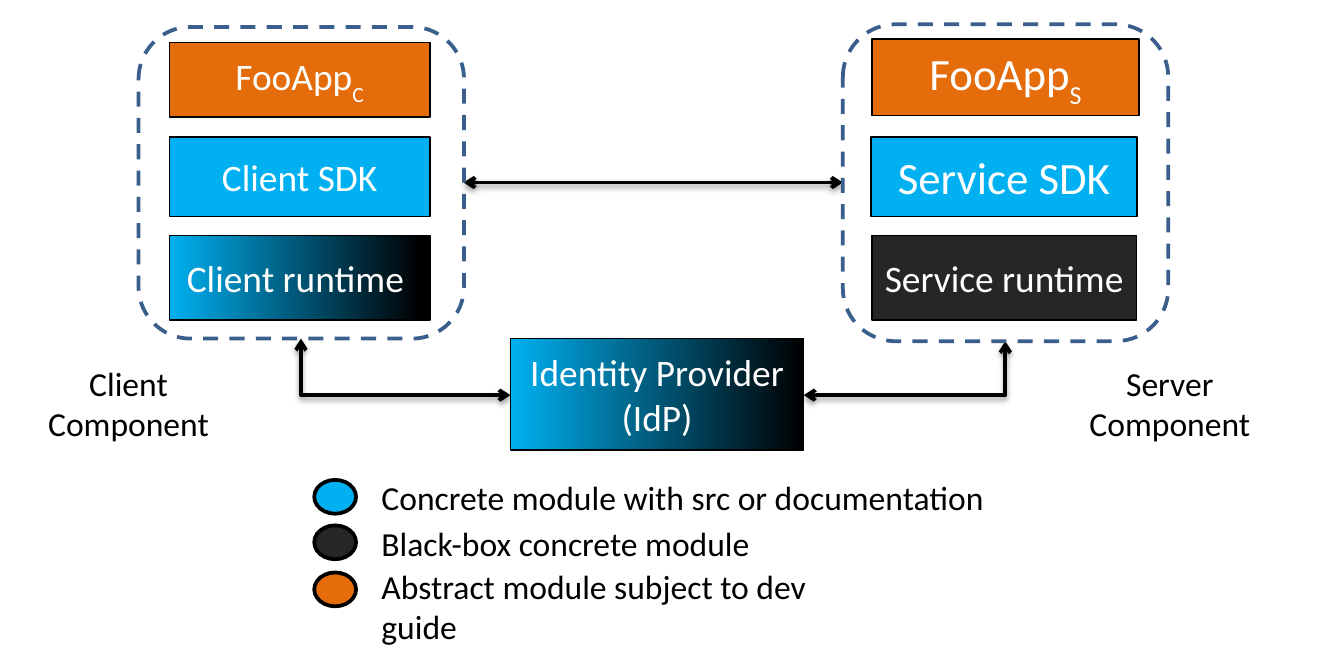
"""Build a slide that maps client, service and identity modules."""
from lxml import etree
from pptx import Presentation
from pptx.dml.color import RGBColor
from pptx.enum.dml import MSO_LINE
from pptx.enum.shapes import MSO_CONNECTOR, MSO_SHAPE
from pptx.enum.text import MSO_ANCHOR, PP_ALIGN
from pptx.oxml import parse_xml
from pptx.oxml.ns import qn
from pptx.util import Cm, Pt

RECT, ROUND, OVAL = MSO_SHAPE.RECTANGLE, MSO_SHAPE.ROUNDED_RECTANGLE, MSO_SHAPE.OVAL
LINE, ELBOW = MSO_CONNECTOR.STRAIGHT, MSO_CONNECTOR.ELBOW
LEFT, MID = PP_ALIGN.LEFT, PP_ALIGN.CENTER
CENTER, DASH = MSO_ANCHOR.MIDDLE, MSO_LINE.DASH
BLACK = RGBColor(0x00, 0x00, 0x00)
WHITE = RGBColor(0xFF, 0xFF, 0xFF)
BLUE = RGBColor(0x00, 0xB0, 0xF0)
DARK = RGBColor(0x26, 0x26, 0x26)
ORANGE = RGBColor(0xE4, 0x6C, 0x0A)
NAVY = RGBColor(0x3A, 0x5F, 0x8C)
SHADOW = (
    '<a:effectLst xmlns:a="http://schemas.openxmlformats.org/drawingml/2006/main">'
    '<a:outerShdw blurRad="40000" dist="20000" dir="5400000" rotWithShape="0">'
    '<a:srgbClr val="000000"><a:alpha val="38000"/></a:srgbClr>'
    '</a:outerShdw></a:effectLst>'
)


def apply(item, form):
    for name, value in form.items():
        setattr(item, name, value)


class Board:
    font = "Calibri"
    inset = dict.fromkeys(
        ("margin_left", "margin_top", "margin_right", "margin_bottom"), 0)

    def __init__(self, slide):
        self.slide = slide

    def text(self, para, words, size, color, align, sub=""):
        para.alignment = align
        for part in filter(None, (words, sub)):
            run = para.add_run()
            run.text = part
            apply(run.font, {"name": self.font, "size": Pt(size)})
            run.font.color.rgb = color
            if part == sub:
                run.font._element.set("baseline", "-30000")

    def shape(self, kind, area, fill=None, line=BLACK, width=2, dash=None):
        item = self.slide.shapes.add_shape(kind, *map(Cm, area))
        item.shadow.inherit = False
        if fill is None:
            item.fill.background()
        elif isinstance(fill, list):
            item.fill.gradient()
            item.fill.gradient_angle = 0
            for stop, (color, spot) in zip(item.fill.gradient_stops, fill):
                stop.color.rgb = color
                stop.position = spot
        else:
            item.fill.solid()
            item.fill.fore_color.rgb = fill
        item.line.color.rgb = line
        apply(item.line, {"width": Pt(width), "dash_style": dash})
        return item

    def module(self, area, fill, words, size=20, sub=""):
        frame = self.shape(RECT, area, fill, width=0.75).text_frame
        apply(frame, {**self.inset, "word_wrap": True, "vertical_anchor": CENTER})
        self.text(frame.paragraphs[0], words, size, WHITE, MID, sub)

    def label(self, area, rows, align=LEFT):
        frame = self.slide.shapes.add_textbox(*map(Cm, area)).text_frame
        frame.word_wrap = True
        for num, words in enumerate(rows):
            para = frame.add_paragraph() if num else frame.paragraphs[0]
            self.text(para, words, 18, BLACK, align)

    def link(self, kind, start, end):
        item = self.slide.shapes.add_connector(kind, *map(Cm, start + end))
        item.line.color.rgb = BLACK
        item.line.width = Pt(2)
        props = item._element.spPr
        if kind == ELBOW:
            props.find(qn("a:prstGeom")).set("prst", "bentConnector2")
        for tip in ("a:headEnd", "a:tailEnd"):
            etree.SubElement(props.find(qn("a:ln")), qn(tip), type="arrow")
        props.append(parse_xml(SHADOW))


def main():
    deck = Presentation()
    apply(deck, {"slide_width": Cm(25.4), "slide_height": Cm(12.19)})
    board = Board(deck.slides.add_slide(deck.slide_layouts[6]))

    board.link(LINE, (8.76, 3.45), (15.93, 3.45))
    board.link(ELBOW, (9.65, 7.47), (5.69, 6.4))
    board.link(ELBOW, (15.19, 7.47), (19, 6.45))

    for area in ((15.93, 0.46, 6.15, 5.99), (2.62, 0.51, 6.15, 5.89)):
        board.shape(ROUND, area, line=NAVY, dash=DASH)

    board.module((3.2, 0.81, 4.93, 1.4), ORANGE, "FooApp", sub="C")
    board.module((3.2, 2.59, 4.93, 1.5), BLUE, "Client SDK")
    board.module((3.2, 4.45, 4.93, 1.6), [(BLUE, 0), (BLACK, 0.97)], "Client runtime ")
    board.module((16.48, 0.74, 5.05, 1.45), ORANGE, "FooApp", 24, "S")
    board.module((16.46, 2.59, 5.03, 1.5), BLUE, "Service SDK", 24)
    board.module((16.48, 4.45, 5, 1.6), DARK, "Service runtime")
    board.module((9.65, 6.4, 5.54, 2.11), [(BLUE, 0), (BLACK, 1)],
                 "Identity Provider (IdP)")

    for dot, top, width, color, words in (
        (9.07, 8.89, 12.04, BLUE, "Concrete module with src or documentation"),
        (9.93, 9.75, 7.59, DARK, "Black-box concrete module"),
        (10.82, 10.57, 9.09, ORANGE, "Abstract module subject to dev guide"),
    ):
        board.shape(OVAL, (5.94, dot, 0.79, 0.64), color)
        board.label((6.96, top, width, 1.02), [words])

    for left, side in ((0.64, "Client"), (20.32, "Server")):
        board.label((left, 6.73, 3.58, 1.8), [side, "Component"], MID)

    deck.save("out.pptx")


if __name__ == "__main__":
    main()
